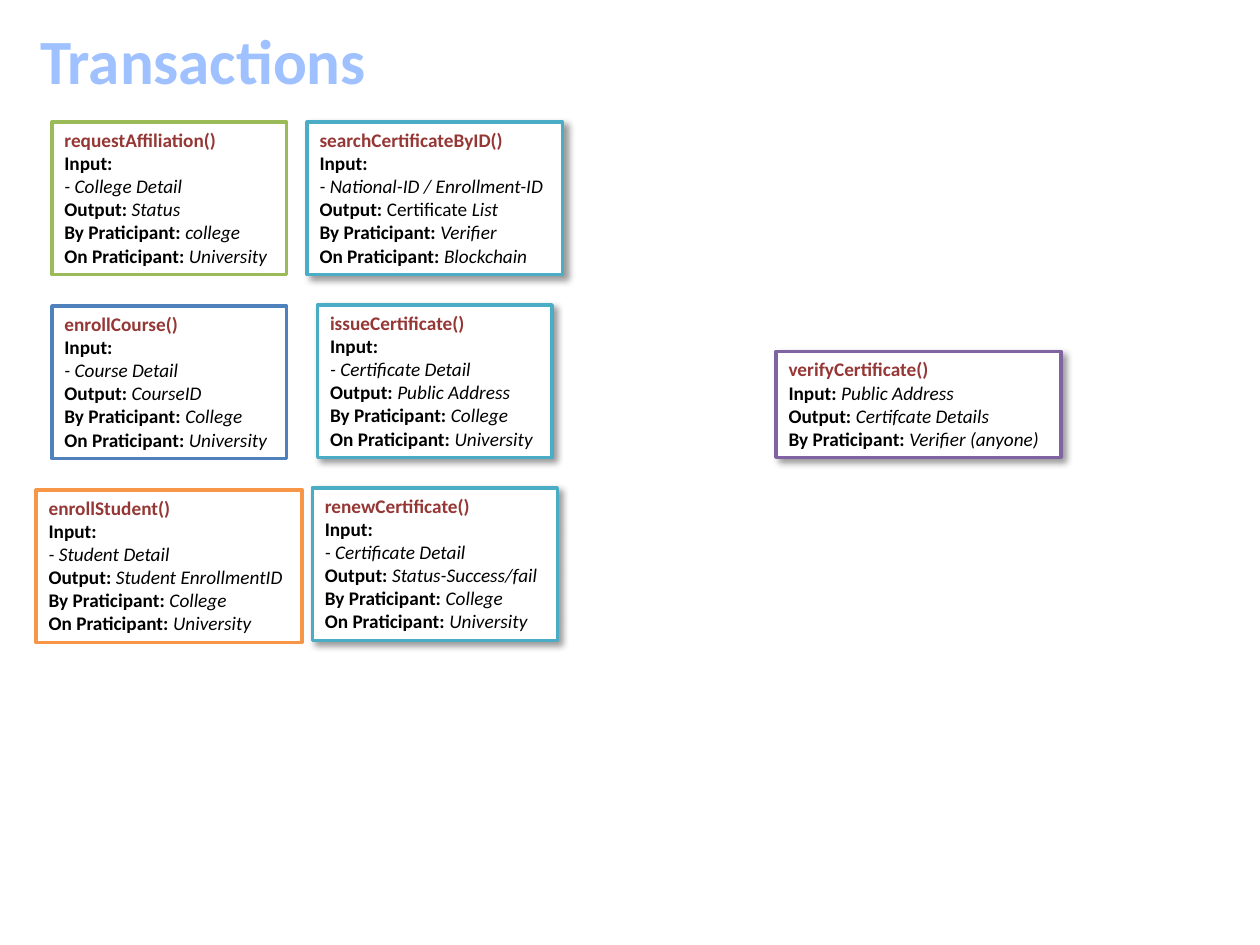
from lxml import etree
from pptx import Presentation
from pptx.dml.color import RGBColor
from pptx.enum import shapes, text
from pptx.oxml.ns import qn
from pptx.util import Pt

GREEN, BLUE, ORANGE, TEAL, PURPLE = "9BBB59", "4F81BD", "F79646", "4BACC6", "8064A2"
ROW_TOP, CARD_HEIGHT = 69.8, 87.2


def paint(color_format, hex_color):
    """Give a colour format a hex colour."""
    color_format.rgb = RGBColor.from_string(hex_color)


def set_frame(frame):
    """Let a text frame grow around unwrapped, top-anchored text."""
    settings = {"word_wrap": False, "auto_size": text.MSO_AUTO_SIZE.SHAPE_TO_FIT_TEXT,
                "vertical_anchor": text.MSO_ANCHOR.TOP}
    for name, value in settings.items():
        setattr(frame, name, value)


def add_run(paragraph, words, hex_color, **styles):
    """Append a Calibri run with the given font values."""
    run = paragraph.add_run()
    run.text = words
    for name, value in {"name": "Calibri", "size": Pt(11), **styles}.items():
        setattr(run.font, name, value)
    paint(run.font.color, hex_color)


def add_title(slide, words):
    """Add the slide heading."""
    heading = slide.shapes.add_textbox(Pt(15.8), Pt(8.6), Pt(205.2), Pt(51))
    set_frame(heading.text_frame)
    add_run(heading.text_frame.paragraphs[0], words, "A0C1FF", size=Pt(36), bold=True)


def add_shadow(card):
    """Cast a soft shadow to the lower right."""
    effects = card._element.spPr.find(qn("a:effectLst"))
    shadow = etree.SubElement(effects, qn("a:outerShdw"), blurRad=str(Pt(4)), dist=str(Pt(3)),
                              dir="2700000", algn="tl", rotWithShape="0")
    tint = etree.SubElement(shadow, qn("a:srgbClr"), val="000000")
    etree.SubElement(tint, qn("a:alpha"), val="40000")


def add_card(slide, box, border, transaction, details, shadowed):
    """Add one transaction with its label, plain and italic text parts."""
    card = slide.shapes.add_shape(shapes.MSO_SHAPE.RECTANGLE, *map(Pt, box))
    card.shadow.inherit = False
    if shadowed:
        add_shadow(card)
    card.fill.solid()
    paint(card.fill.fore_color, "FFFFFF")
    card.line.width = Pt(2)
    paint(card.line.color, border)
    frame = card.text_frame
    set_frame(frame)
    heading = frame.paragraphs[0]
    heading.alignment = text.PP_ALIGN.LEFT
    add_run(heading, transaction, "953735", bold=True)
    for label, plain, value in details:
        line = frame.add_paragraph()
        line.alignment = text.PP_ALIGN.LEFT
        for words, bold, italic in ((label, True, False), (plain, False, False), (value, False, True)):
            if words:
                add_run(line, words, "000000", bold=bold, italic=italic)


def describe(detail, output, caller, target, plain=""):
    """List the lines shared by the transactions in the grid."""
    output_label = "Output:" if plain else "Output: "
    return [("Input:", "", ""), ("", "", f"- {detail}"), (output_label, plain, output),
            ("By Praticipant: ", "", caller), ("On Praticipant: ", "", target)]


def add_column(slide, center, step, cards, shadowed):
    """Stack cards around a common vertical axis."""
    for row, (width, border, transaction, details) in enumerate(cards):
        box = center - width / 2, ROW_TOP + row * step, width, CARD_HEIGHT
        add_card(slide, box, border, transaction, details, shadowed)


def main():
    """Build and save the transactions slide."""
    deck = Presentation()
    deck.slide_width, deck.slide_height = Pt(720), Pt(540)
    slide = deck.slides.add_slide(deck.slide_layouts[6])
    add_title(slide, "Transactions")
    verification = [("Input: ", "", "Public Address"), ("Output: ", "", "Certifcate Details"),
                    ("By Praticipant: ", "", "Verifier (anyone)")]
    add_card(slide, (443.5, 200.9, 162.8, 60.5), PURPLE, "verifyCertificate()", verification, True)
    enrollment = [
        (134, GREEN, "requestAffiliation()",
         describe("College Detail", "Status", "college", "University")),
        (134, BLUE, "enrollCourse()",
         describe("Course Detail", "CourseID", "College", "University")),
        (152, ORANGE, "enrollStudent()",
         describe("Student Detail", "Student EnrollmentID", "College", "University")),
    ]
    certificates = [
        (146, TEAL, "searchCertificateByID()",
         describe("National-ID / Enrollment-ID", "List", "Verifier", "Blockchain", " Certificate ")),
        (134, TEAL, "issueCertificate()",
         describe("Certificate Detail", "Public Address", "College", "University")),
        (140, TEAL, "renewCertificate()",
         describe("Certificate Detail", "Status-Success/fail", "College", "University")),
    ]
    add_column(slide, 96.7, 105.1, enrollment, False)
    add_column(slide, 248.5, 104.5, certificates, True)
    deck.save("out.pptx")


if __name__ == "__main__":
    main()
